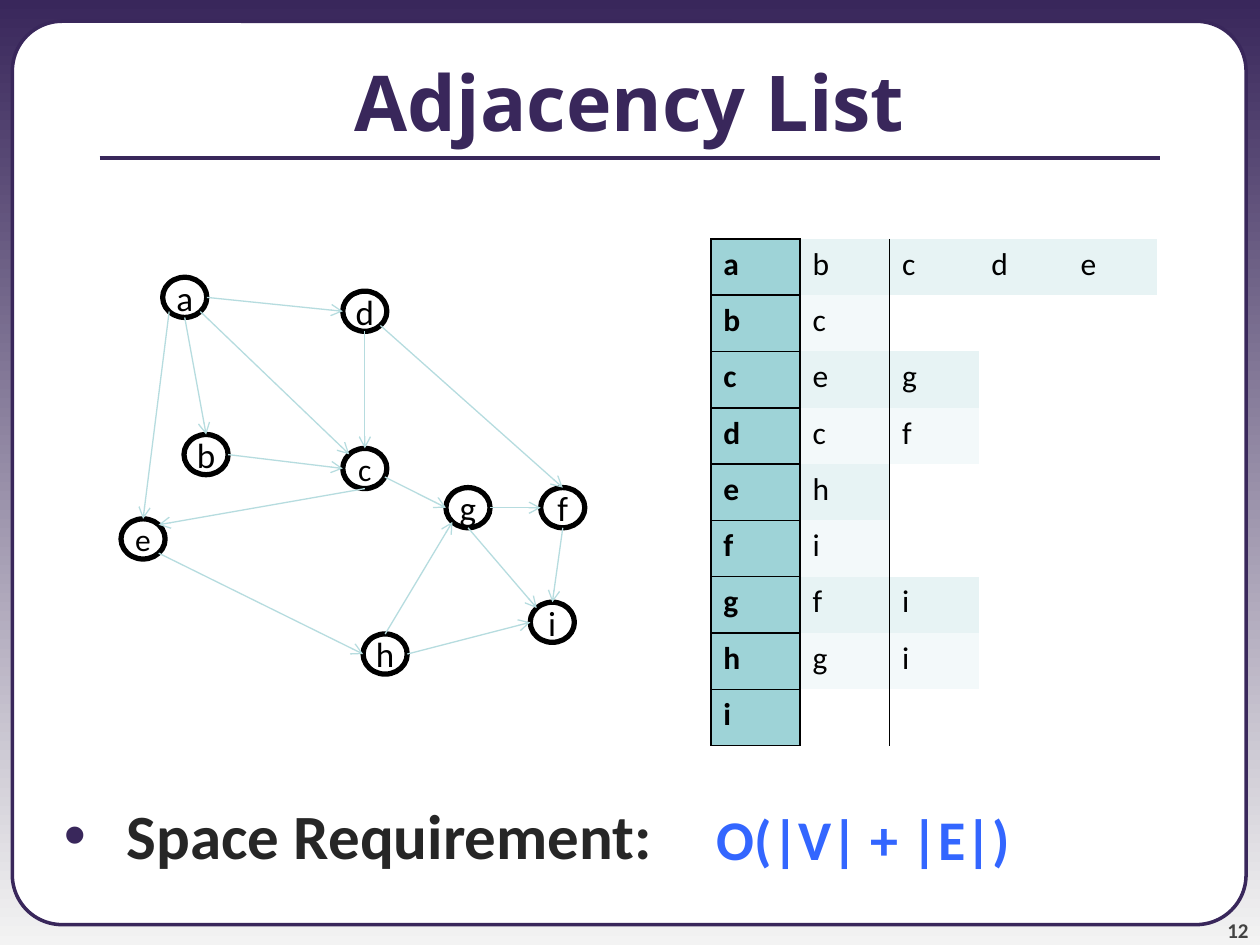
from dataclasses import dataclass
from math import cos, radians, sin

from lxml import etree
from pptx import Presentation
from pptx import util as u
from pptx.dml.color import RGBColor
from pptx.enum import shapes, text
from pptx.oxml import ns


@dataclass(frozen=True)
class Theme:
    purple: str = "39275B"
    pale: str = "F3F3F3"
    white: str = "FFFFFF"
    black: str = "000000"
    body: str = "262626"
    number: str = "424242"
    accent: str = "3366FF"
    edge: str = "B6DCDF"
    key: str = "9ED3D7"
    bands: tuple = ("E7F3F4", "F3F9FA")
    heading_font: str = "Open Sans"
    body_font: str = "Calibri"
    title_size: int = 44
    bullet_size: int = 36
    answer_size: int = 32
    node_size: int = 20
    small_size: int = 18
    number_size: int = 12


theme = Theme()


def write(paragraph, words, size, color, bold=False, font=theme.body_font):
    run = paragraph.add_run()
    run.text = words
    run.font.name = font
    run.font.size = u.Pt(size)
    run.font.bold = bold
    run.font.color.rgb = RGBColor.from_string(color)


def draw_line(start, end, color, width):
    points = [u.Cm(value) for value in (*start, *end)]
    line = slide.shapes.add_connector(shapes.MSO_CONNECTOR.STRAIGHT, *points)
    line.line.color.rgb = RGBColor.from_string(color)
    line.line.width = u.Pt(width)
    etree.SubElement(line.element.spPr, ns.qn("a:effectLst"))
    return line


presentation = Presentation()
presentation.slide_width = u.Cm(25.4)
presentation.slide_height = u.Cm(19.05)
slide = presentation.slides.add_slide(presentation.slide_layouts[5])

background = slide.background.fill
background.gradient()
background.gradient_angle = 270
for stop, color in zip(background.gradient_stops, (theme.purple, theme.pale)):
    stop.color.rgb = RGBColor.from_string(color)

title = slide.shapes.title
title.left, title.top, title.width, title.height = u.Cm(0), u.Cm(0.43), u.Cm(25.4), u.Cm(3.18)
title.text_frame.vertical_anchor = text.MSO_ANCHOR.MIDDLE
paragraph = title.text_frame.paragraphs[0]
paragraph.alignment = text.PP_ALIGN.CENTER
write(paragraph, "Adjacency List", theme.title_size, theme.purple, True, theme.heading_font)

card = slide.shapes.add_shape(
    shapes.MSO_SHAPE.ROUNDED_RECTANGLE, u.Cm(0.25), u.Cm(0.43), u.Cm(24.87), u.Cm(18.21))
card.adjustments[0] = 0.055
card.shadow.inherit = False
card.fill.solid()
card.fill.fore_color.rgb = RGBColor.from_string(theme.white)
card.line.color.rgb = RGBColor.from_string(theme.purple)
card.line.width = u.Pt(2)
title.element.addprevious(card.element)

draw_line((2.01, 3.18), (23.39, 3.18), theme.purple, 2.25)

number_box = slide.shapes.add_textbox(u.Cm(23.06), u.Cm(17.98), u.Cm(2.11), u.Cm(1.02))
frame = number_box.text_frame
frame.word_wrap = True
frame.vertical_anchor = text.MSO_ANCHOR.BOTTOM
frame.margin_left = frame.margin_right = frame.margin_top = frame.margin_bottom = 0
frame.paragraphs[0].alignment = text.PP_ALIGN.RIGHT
write(frame.paragraphs[0], "12", theme.number_size, theme.number, True)

requirement_box = slide.shapes.add_textbox(u.Cm(0.41), u.Cm(15.93), u.Cm(24.99), u.Cm(1.8))
requirement_box.text_frame.word_wrap = True
paragraph = requirement_box.text_frame.paragraphs[0]
properties = paragraph._p.get_or_add_pPr()
properties.set("marL", str(u.Cm(1.9)))
properties.set("indent", str(u.Cm(-1.27)))
bullet_color = etree.SubElement(properties, ns.qn("a:buClr"))
etree.SubElement(bullet_color, ns.qn("a:srgbClr"), val=theme.purple)
etree.SubElement(properties, ns.qn("a:buFont"), typeface="Arial")
etree.SubElement(properties, ns.qn("a:buChar"), char="•")
write(paragraph, "Space Requirement:", theme.bullet_size, theme.body, True)

node_width, node_height = 0.89, 0.81
nodes = {
    "a": (3.28, 5.59), "b": (3.71, 8.76), "c": (6.91, 9.04),
    "d": (6.91, 5.87), "e": (2.44, 10.46), "f": (10.9, 9.83),
    "g": (8.99, 9.83), "h": (7.32, 12.78), "i": (10.69, 12.14),
}
for name, (left, top) in nodes.items():
    node = slide.shapes.add_shape(
        shapes.MSO_SHAPE.OVAL, u.Cm(left), u.Cm(top), u.Cm(node_width), u.Cm(node_height))
    node.shadow.inherit = False
    node.fill.background()
    node.line.color.rgb = RGBColor.from_string(theme.black)
    node.line.width = u.Pt(3)
    node.text_frame.word_wrap = False
    node.text_frame.vertical_anchor = text.MSO_ANCHOR.MIDDLE
    paragraph = node.text_frame.paragraphs[0]
    paragraph.alignment = text.PP_ALIGN.CENTER
    size = theme.small_size if name in "ce" else theme.node_size
    write(paragraph, name, size, theme.black)

right, lower_right, bottom, lower_left = 0, 45, 90, 135
left_side, upper_left, top_side, upper_right = 180, 225, 270, 315
edges = [
    ("a", lower_right, "c", upper_left), ("a", right, "d", left_side),
    ("a", bottom, "b", top_side), ("a", lower_left, "e", top_side),
    ("b", right, "c", left_side), ("c", bottom, "e", upper_right),
    ("c", 25, "g", left_side), ("d", bottom, "c", top_side),
    ("d", lower_right, "f", top_side), ("e", lower_right, "h", left_side),
    ("f", bottom, "i", top_side), ("g", right, "f", left_side),
    ("g", bottom, "i", upper_left), ("h", right, "i", left_side),
    ("h", top_side, "g", lower_left),
]
for source, source_angle, target, target_angle in edges:
    ends = []
    for name, angle in ((source, source_angle), (target, target_angle)):
        left, top = nodes[name]
        ends.append((left + node_width / 2 * (1 + cos(radians(angle))),
                     top + node_height / 2 * (1 + sin(radians(angle)))))
    edge = draw_line(*ends, theme.edge, 0.75)
    etree.SubElement(edge.line._get_or_add_ln(), ns.qn("a:tailEnd"), type="arrow")

adjacency = ["", "abcde", "bc", "ceg", "dcf", "eh", "fi", "gfi", "hgi", "i"]
columns = 5
graphic = slide.shapes.add_table(
    len(adjacency), columns, u.Cm(14.33), u.Cm(3.68), u.Cm(9), u.Cm(11.35))
table = graphic.table
table.first_row = table.horz_banding = False
table._tbl.tblPr.find(ns.qn("a:tableStyleId")).text = "{2D5ABB26-0587-4C30-8999-92F81FD0307C}"
for row, letters in enumerate(adjacency):
    for column in range(columns):
        cell = table.cell(row, column)
        letter = letters[column:column + 1]
        fill = theme.white
        if letter:
            fill = theme.bands[(row + 1) % 2] if column else theme.key
            write(cell.text_frame.paragraphs[0], letter, theme.small_size, theme.black, column == 0)
        cell.fill.solid()
        cell.fill.fore_color.rgb = RGBColor.from_string(fill)
        sides = ""
        if column == 0:
            sides = "LRTB" if row else "B"
        elif column == 1 and row:
            sides = "L"
        cell_properties = cell._tc.get_or_add_tcPr()
        for position, side in enumerate(sides):
            border = etree.Element(ns.qn(f"a:ln{side}"), w=str(u.Pt(1)))
            solid = etree.SubElement(border, ns.qn("a:solidFill"))
            etree.SubElement(solid, ns.qn("a:srgbClr"), val=theme.black)
            cell_properties.insert(position, border)

answer_box = slide.shapes.add_textbox(u.Cm(14.2), u.Cm(16.1), u.Cm(6.48), u.Cm(1.63))
answer_box.text_frame.word_wrap = False
write(answer_box.text_frame.paragraphs[0], "O(|V| + |E|)", theme.answer_size, theme.accent, True)

presentation.save("out.pptx")
